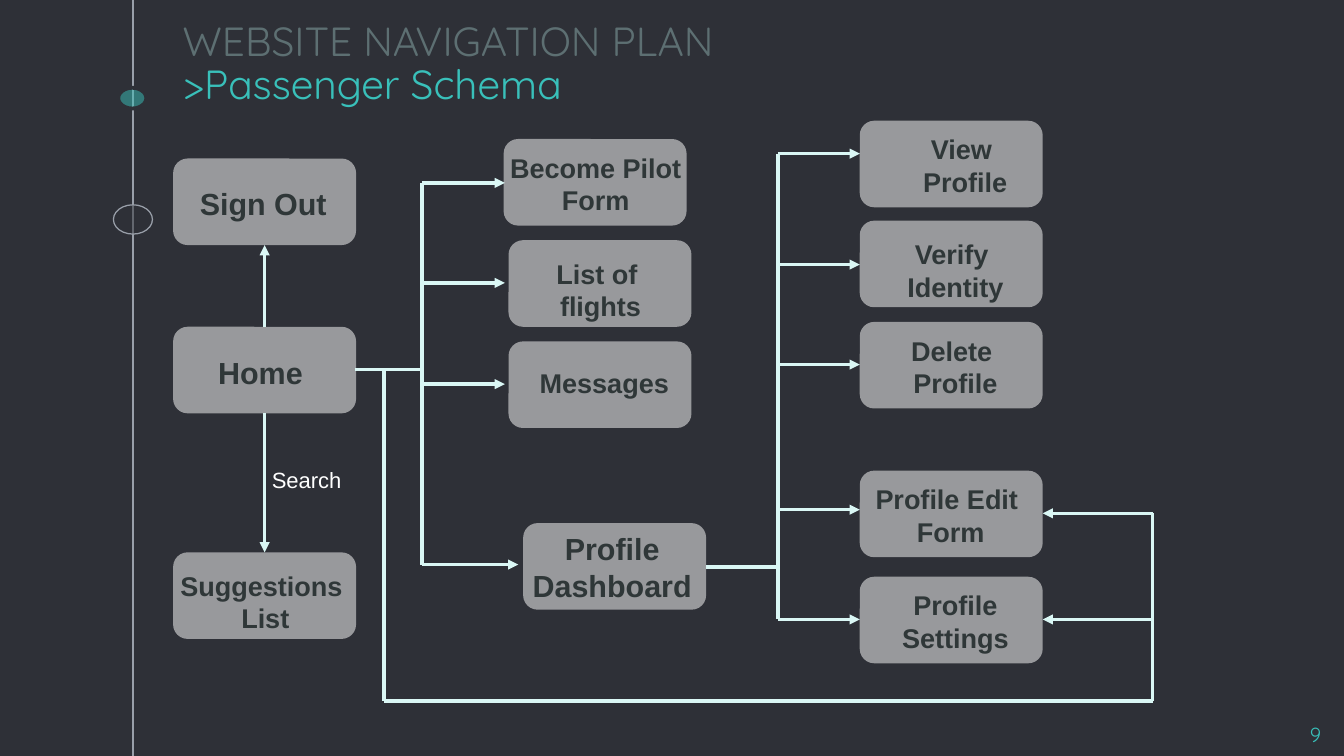
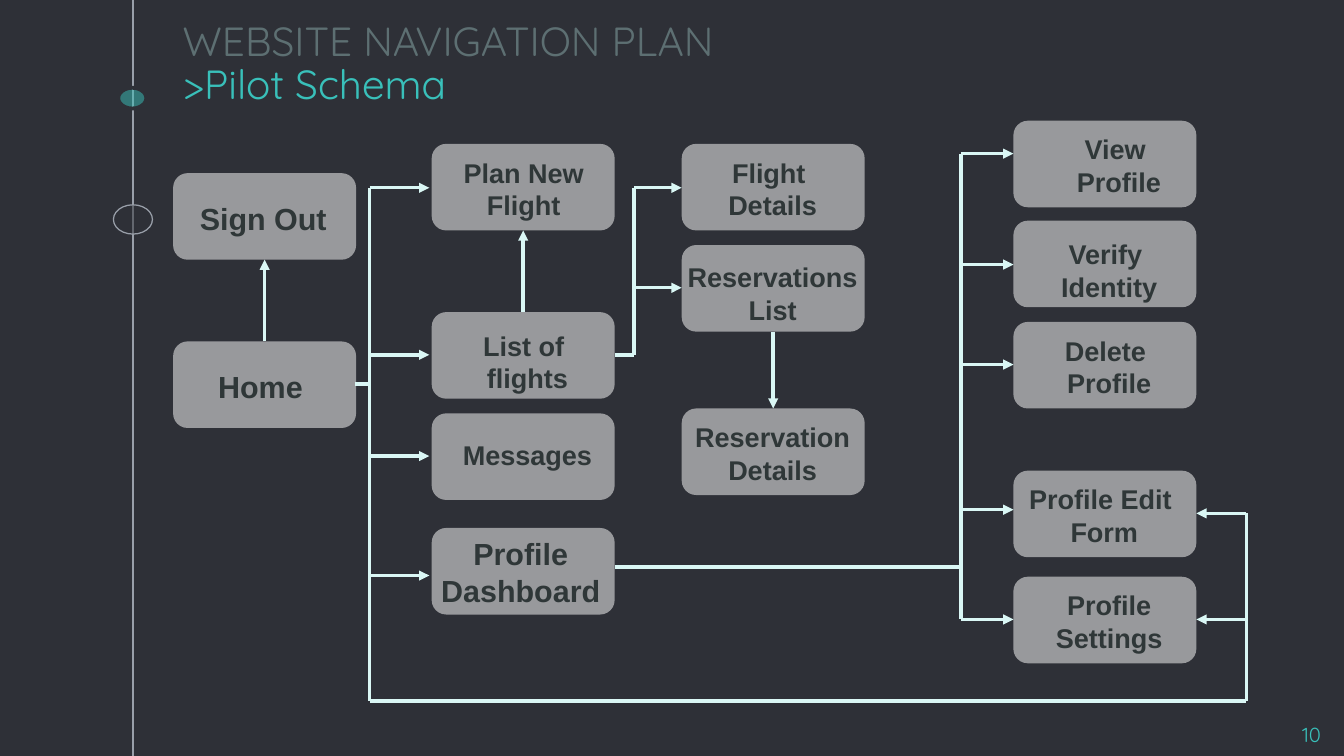
from pptx import Presentation
from pptx.dml.color import RGBColor as Rgb
from pptx.enum.shapes import MSO_CONNECTOR as Link, MSO_SHAPE as Form
from pptx.enum.text import MSO_ANCHOR as Anchor, PP_ALIGN as Align
from pptx.oxml.ns import qn
from pptx.util import Inches, Pt
from lxml.etree import SubElement as Sub

DARK = Rgb(0x2E, 0x30, 0x37)
GREY = Rgb(0x99, 0x9F, 0xA9)
TEAL = Rgb(0x39, 0xC0, 0xBA)
SLATE = Rgb(0x5D, 0x6F, 0x72)
INK = Rgb(0x2F, 0x37, 0x38)
PALE = Rgb(0xDA, 0xF7, 0xF5)
WHITE = Rgb(0xFF, 0xFF, 0xFF)
HEAD, BODY = "Quicksand", "Arial"
WIDE, TALL = 1.5, 0.71


class Deck:
    def __init__(self):
        self.prs = Presentation()
        self.prs.slide_width = Inches(11.02)
        self.prs.slide_height = Inches(6.2)

    def page(self, title, number):
        self.slide = self.prs.slides.add_slide(self.prs.slide_layouts[6])
        fill = self.slide.background.fill
        fill.solid()
        fill.fore_color.rgb = DARK
        self.line(1.09, 0, 1.09, 6.2, color=GREY, width=0.75)
        self.shape(Form.OVAL, 0.97, 0.72, 0.23, 0.17, TEAL, 50, DARK, 2.25)
        self.shape(Form.OVAL, 0.93, 1.68, 0.32, 0.24, DARK, 50, GREY, 0.75)
        for top, words, color in ((0.21, "WEBSITE NAVIGATION PLAN", SLATE), (0.56, title, TEAL)):
            self.text(1.4, top, 8.27, 0.42, [words], 24, color, HEAD, pad=0.1, anchor=Anchor.BOTTOM)
        self.text(10.27, 5.82, 0.66, 0.38, [number], 12, TEAL, HEAD, Align.RIGHT, pad=0.1)

    def shape(self, form, x, y, w, h, color, alpha, edge=None, width=0):
        item = self.slide.shapes.add_shape(form, Inches(x), Inches(y), Inches(w), Inches(h))
        item.shadow.inherit = False
        item.fill.solid()
        item.fill.fore_color.rgb = color
        tint = item._element.spPr.find(qn("a:solidFill"))[0]
        Sub(tint, qn("a:alpha"), val=str(alpha * 1000))
        if edge is None:
            item.line.fill.background()
        else:
            item.line.color.rgb = edge
            item.line.width = Pt(width)

    def text(self, x, y, w, h, lines, size, color, font=BODY, align=Align.LEFT,
             bold=False, pad=0.05, anchor=Anchor.TOP):
        box = self.slide.shapes.add_textbox(Inches(x), Inches(y), Inches(w), Inches(h))
        frame = box.text_frame
        frame.word_wrap = True
        frame.vertical_anchor = anchor
        frame.margin_top = frame.margin_bottom = Inches(pad)
        for i, words in enumerate(lines):
            para = frame.paragraphs[0] if i == 0 else frame.add_paragraph()
            para.alignment = align
            run = para.add_run()
            run.text = words
            run.font.size = Pt(size)
            run.font.name = font
            run.font.bold = bold
            run.font.color.rgb = color

    def line(self, x, y, to_x, to_y, arrow=False, color=PALE, width=0):
        item = self.slide.shapes.add_connector(
            Link.STRAIGHT, Inches(x), Inches(y), Inches(to_x), Inches(to_y))
        item.line.color.rgb = color
        item.line.width = Pt(width)
        if arrow:
            Sub(item.line._get_or_add_ln(), qn("a:tailEnd"), type="triangle")
        Sub(item._element.spPr, qn("a:effectLst"))

    def route(self, *points, arrow=False):
        last = len(points) - 2
        for i, (start, end) in enumerate(zip(points, points[1:])):
            self.line(*start, *end, arrow=arrow and i == last)

    def fan(self, x, to_x, rows):
        for y in rows:
            self.line(x, y, to_x, y, arrow=True)

    def node(self, x, y, *lines, dx=-0.12, dy=0.05, w=1.73, size=16, align=Align.CENTER):
        self.shape(Form.ROUNDED_RECTANGLE, x, y, WIDE, TALL, WHITE, 51)
        self.text(x + dx, y + dy, w, 0.59, lines, size, INK, align=align, bold=True)

    def home(self, y):
        self.node(1.42, y, "Home", dx=0.27, dy=0.17, w=0.94, size=18, align=Align.LEFT)
        self.node(1.42, y - 1.38, "Sign Out", dx=0.12, dy=0.17, w=1.26, size=18, align=Align.LEFT)
        self.line(2.17, y, 2.17, y - 1.38 + TALL, arrow=True)

    def board(self, x, y):
        self.node(x, y, "Profile Dashboard", dx=-0.04, dy=0.01, w=1.54, size=18)

    def profile(self, x, bus, start, back, home):
        self.node(x, 0.99, "View ", "Profile", dx=0)
        self.node(x, 1.81, "Verify ", "Identity", dx=-0.08, dy=0.09)
        self.node(x, 2.64, "Delete ", "Profile", dx=-0.08)
        self.node(x, 3.86, "Profile Edit ", "Form")
        self.node(x, 4.73, "Profile", "Settings", dx=-0.08)
        self.line(start, 4.65, bus, 4.65)
        self.line(bus, 1.26, bus, 5.08)
        self.fan(bus, x, (1.26, 2.17, 2.99, 4.18, 5.08))
        self.route(home, (home[0], 5.75), (back, 5.75), (back, 4.21))
        self.fan(back, x + WIDE, (4.21, 5.08))


def rider(deck):
    deck.page(">Passenger Schema", "9")
    deck.home(2.68)
    deck.node(1.42, 4.53, "Suggestions", " List", dx=-0.16, dy=0.09, w=1.77)
    deck.line(2.17, 3.39, 2.17, 4.53, arrow=True)
    deck.text(2.13, 3.78, 1.18, 0.3, ["Search"], 13, WHITE)
    deck.node(4.13, 1.14, "Become Pilot Form", dx=-0.11)
    deck.node(4.17, 1.97, "List of ", "flights", dx=-0.11, dy=0.09)
    deck.node(4.17, 2.8, "Messages", dx=-0.08, dy=0.16)
    deck.board(4.29, 4.29)
    deck.line(2.91, 3.03, 3.46, 3.03)
    deck.line(3.46, 1.5, 3.46, 4.63)
    deck.fan(3.46, 4.14, (1.5, 2.32, 3.15))
    deck.line(3.46, 4.63, 4.25, 4.63, arrow=True)
    deck.profile(7.05, 6.38, 5.79, 9.45, (3.15, 3.03))


def pilot(deck):
    deck.page(">Pilot Schema", "10")
    deck.home(2.8)
    deck.node(3.54, 1.18, "Plan New Flight", dx=-0.11)
    deck.node(3.54, 2.56, "List of ", "flights", dx=-0.08, dy=0.09)
    deck.node(3.54, 3.39, "Messages", dx=-0.08, dy=0.16)
    deck.board(3.54, 4.33)
    deck.node(5.59, 1.18, "Flight ", "Details")
    deck.node(5.59, 2.01, "Reservations", "List", dy=0.08)
    deck.node(5.59, 3.35, "Reservation Details")
    deck.line(2.91, 3.15, 3.03, 3.15)
    deck.fan(3.03, 3.52, (1.54, 2.91, 3.74, 4.72))
    deck.line(4.29, 2.56, 4.29, 1.89, arrow=True)
    deck.route((5.04, 2.91), (5.2, 2.91), (5.2, 1.54), (5.59, 1.54), arrow=True)
    deck.fan(5.2, 5.59, (2.36,))
    deck.line(6.34, 2.72, 6.34, 3.35, arrow=True)
    deck.profile(8.31, 7.88, 5.04, 10.22, (3.03, 1.54))


def main():
    deck = Deck()
    rider(deck)
    pilot(deck)
    deck.prs.save("out.pptx")


if __name__ == "__main__":
    main()
